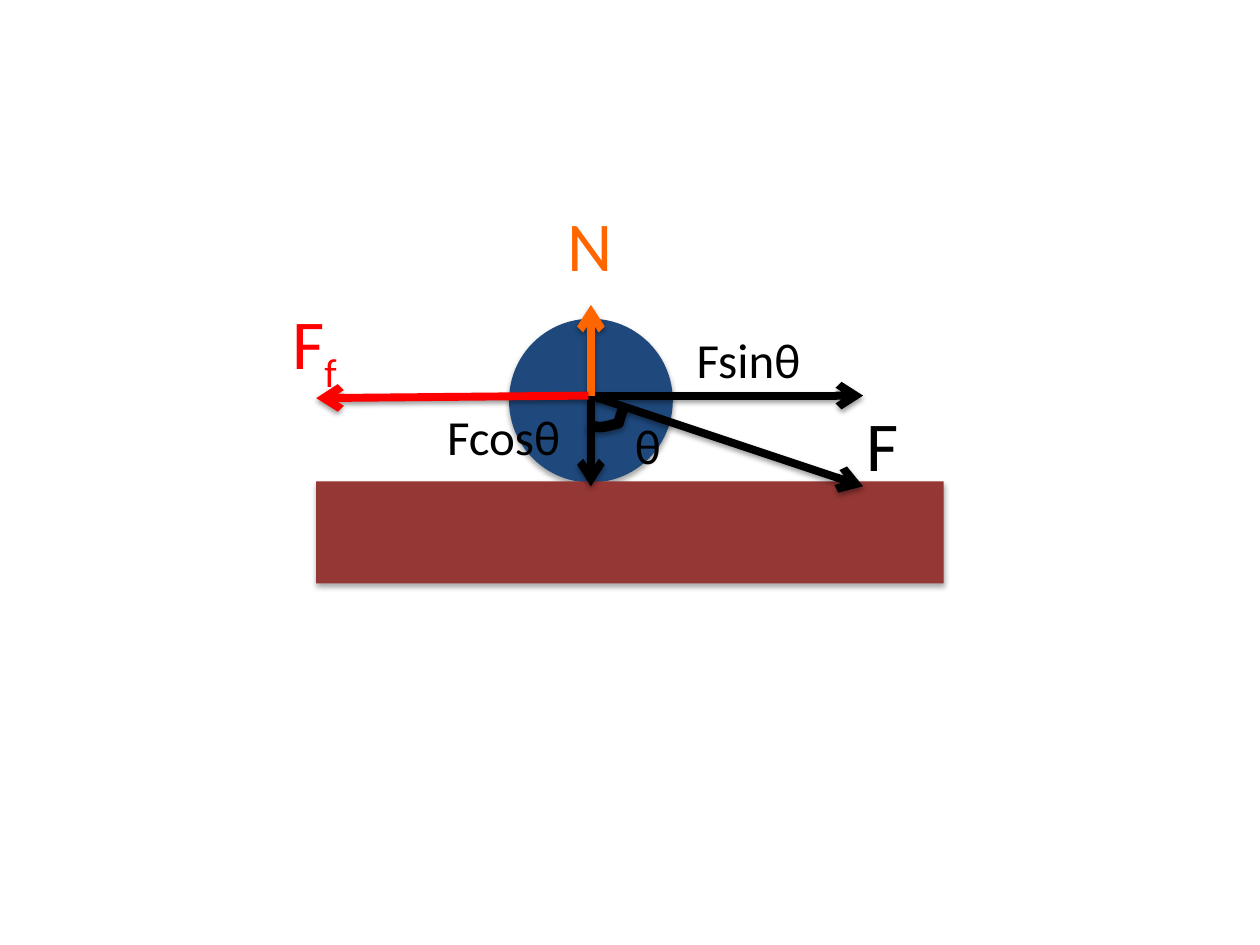
"""Build a force diagram of a ball pushed along a surface."""
from dataclasses import dataclass

from lxml import etree
from pptx import Presentation
from pptx import util as u
from pptx.dml.color import RGBColor
from pptx.enum import shapes, text
from pptx.oxml import ns


@dataclass(frozen=True)
class Theme:
    """Hold the colours, type sizes and line widths."""
    font: str = "Calibri"
    ball: str = "1F497D"
    surface: str = "953735"
    force: str = "000000"
    normal: str = "FF6600"
    friction: str = "FF0000"
    large: int = 40
    small: int = 28
    arrow_width: float = 4.5
    arc_width: float = 6


THEME = Theme()


def add_element(parent, tag, **attributes):
    """Append a DrawingML element and return it."""
    element = etree.SubElement(parent, ns.qn(tag))
    for name, value in attributes.items():
        element.set(name, str(value))
    return element


def add_shadow(shape, opacity, distance):
    """Give a shape a soft black shadow that falls straight down."""
    effects = add_element(shape._element.spPr, "a:effectLst")
    shadow = add_element(effects, "a:outerShdw", blurRad=u.Pt(3.1), dist=u.Pt(distance),
                         dir=90 * 60000, rotWithShape=0)
    colour = add_element(shadow, "a:srgbClr", val="000000")
    add_element(colour, "a:alpha", val=opacity * 1000)


def style_line(line, colour, width):
    """Set the colour and width of a line."""
    line.color.rgb = RGBColor.from_string(colour)
    line.width = u.Pt(width)


def add_body(slide, kind, box, colour):
    """Add a filled solid body without an outline."""
    shape = slide.shapes.add_shape(kind, *map(u.Inches, box))
    shape.fill.solid()
    shape.fill.fore_color.rgb = RGBColor.from_string(colour)
    shape.line.fill.background()
    add_shadow(shape, 35, 1.8)


def add_force(slide, start, end, colour):
    """Add a force arrow from start to end."""
    arrow = slide.shapes.add_connector(
        shapes.MSO_CONNECTOR.STRAIGHT, *map(u.Inches, (*start, *end)))
    style_line(arrow.line, colour, THEME.arrow_width)
    add_element(arrow.line._get_or_add_ln(), "a:tailEnd", type="arrow")
    add_shadow(arrow, 38, 1.6)


def add_label(slide, box, runs, size, colour):
    """Add a label from (text, baseline percent) runs."""
    label = slide.shapes.add_textbox(*map(u.Inches, box))
    frame = label.text_frame
    frame.word_wrap = True
    frame.auto_size = text.MSO_AUTO_SIZE.SHAPE_TO_FIT_TEXT
    paragraph = frame.paragraphs[0]
    for words, baseline in runs:
        run = paragraph.add_run()
        run.text = words
        run.font.name = THEME.font
        run.font.size = u.Pt(size)
        run.font.color.rgb = RGBColor.from_string(colour)
        if baseline:
            run._r.get_or_add_rPr().set("baseline", str(baseline * 1000))


def curve_points(start, curves, steps=8):
    """Return points along a chain of cubic curves."""
    points = []
    for first, second, end in curves:
        for step in range(1, steps + 1):
            t = step / steps
            weights = ((1 - t) ** 3, 3 * t * (1 - t) ** 2, 3 * t * t * (1 - t), t ** 3)
            corners = (start, first, second, end)
            points.append(tuple(
                u.Inches(sum(w * corner[axis] for w, corner in zip(weights, corners)))
                for axis in (0, 1)))
        start = end
    return points


def add_angle_arc(slide, start, curves):
    """Add the open arc that marks the angle."""
    builder = slide.shapes.build_freeform(*map(u.Inches, start))
    builder.add_line_segments(curve_points(start, curves), close=False)
    arc = builder.convert_to_shape()
    arc.fill.background()
    style_line(arc.line, THEME.force, THEME.arc_width)
    add_shadow(arc, 38, 1.6)


def main():
    """Build and save the slide."""
    presentation = Presentation()
    presentation.slide_width, presentation.slide_height = u.Inches(10), u.Inches(7.5)
    slide = presentation.slides.add_slide(presentation.slide_layouts[6])

    add_body(slide, shapes.MSO_SHAPE.OVAL, (4.04, 2.53, 1.3, 1.3), THEME.ball)
    add_body(slide, shapes.MSO_SHAPE.RECTANGLE, (2.51, 3.82, 4.98, 0.81), THEME.surface)

    x, y = centre = (4.69, 3.14)
    across, down = 2.16, 0.72
    add_force(slide, centre, (x + across, y + down), THEME.force)
    add_force(slide, centre, (x + across, y), THEME.force)
    add_force(slide, centre, (x, y + down), THEME.force)
    add_force(slide, centre, (x, y - down), THEME.normal)
    add_force(slide, (4.67, y), (4.67 - across, 3.16), THEME.friction)

    add_angle_arc(slide, (4.67, 3.37), (
        ((4.7, 3.38), (4.73, 3.39), (4.76, 3.39)),
        ((4.81, 3.39), (4.86, 3.37), (4.91, 3.36)),
        ((4.94, 3.24), (4.94, 3.29), (4.94, 3.23)),
    ))

    labels = (
        ((4.41, 1.55, 0.57, 0.77), [("N", 0)], THEME.large, THEME.normal),
        ((2.22, 2.33, 1.42, 0.77), [("F", 0), ("f", -25)], THEME.large, THEME.friction),
        ((5.43, 2.57, 1.42, 0.57), [("Fsinθ", 0)], THEME.small, THEME.force),
        ((3.45, 3.18, 1.19, 0.57), [("Fcosθ", 0)], THEME.small, THEME.force),
        ((4.94, 3.25, 0.71, 0.57), [("θ", 0)], THEME.small, THEME.force),
        ((6.78, 3.14, 0.51, 0.77), [("F", 0)], THEME.large, THEME.force),
    )
    for label in labels:
        add_label(slide, *label)

    presentation.save("out.pptx")


main()
